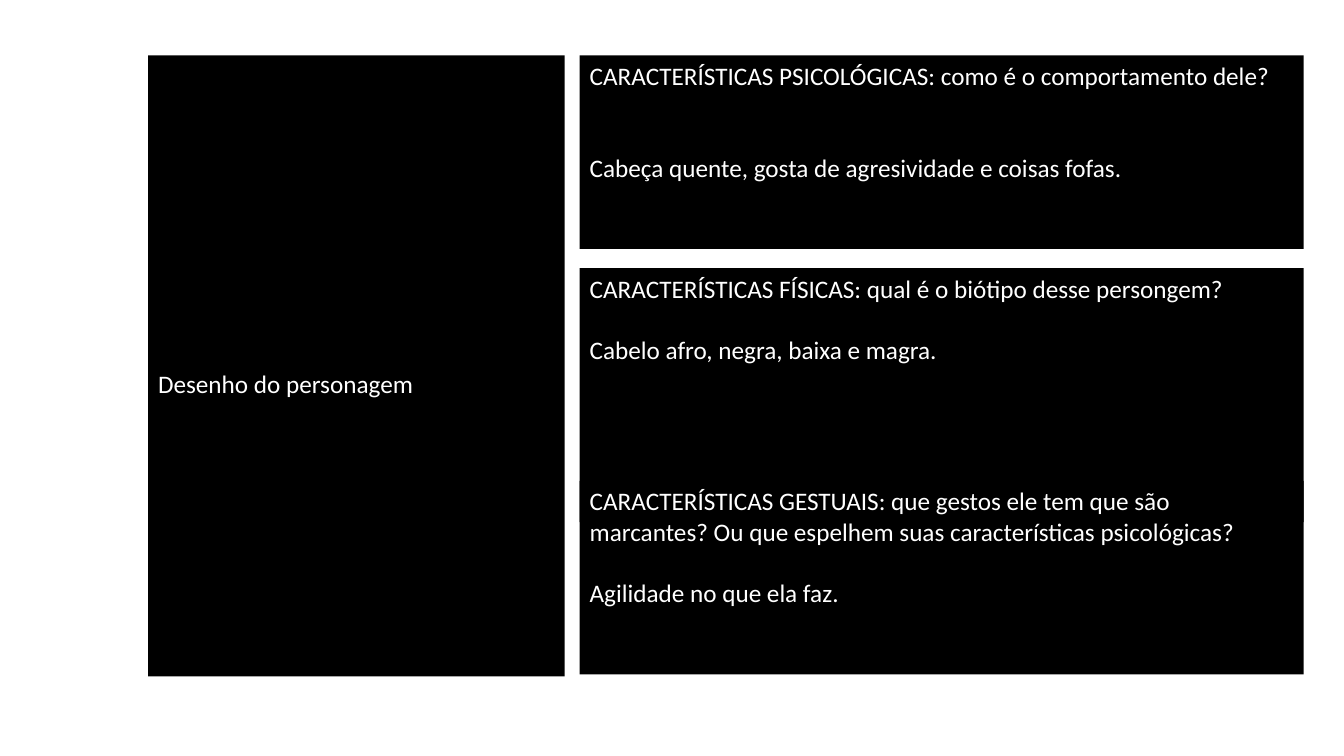
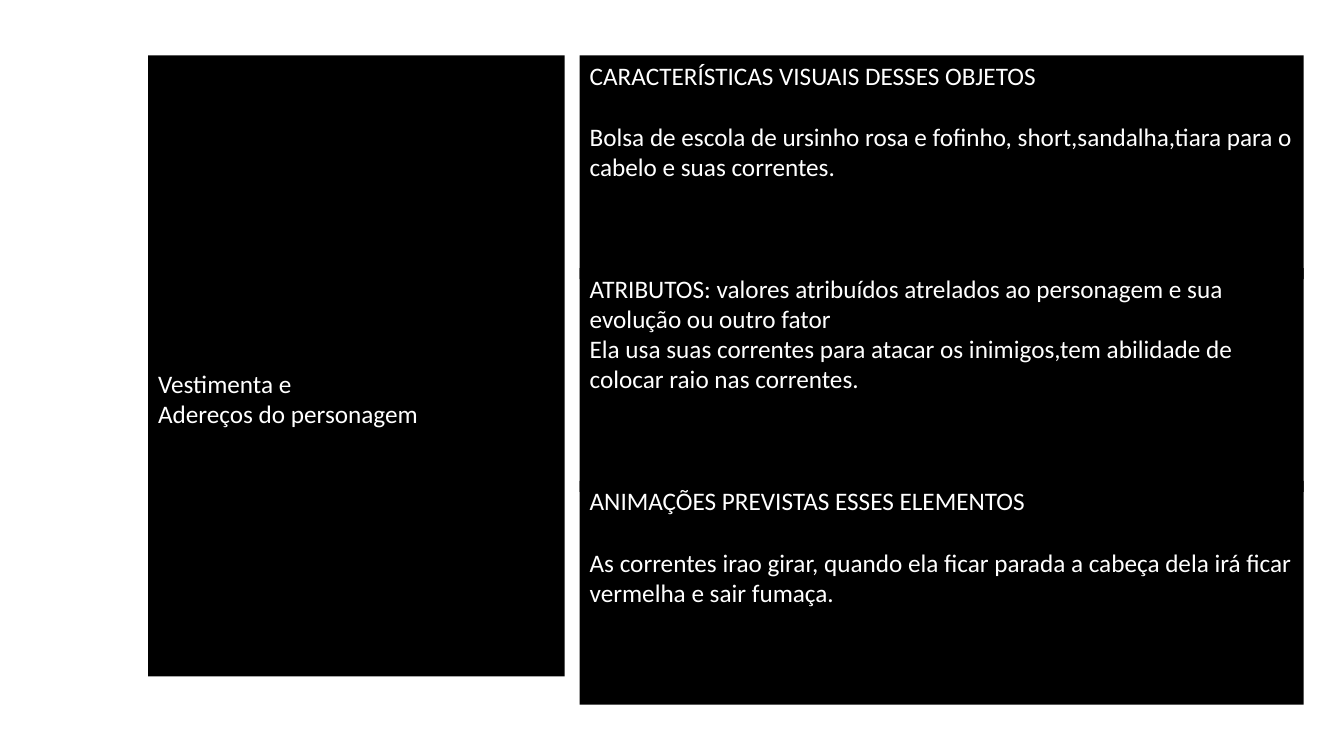
from pptx import Presentation
from pptx.dml.color import RGBColor
from pptx.enum.shapes import MSO_SHAPE
from pptx.enum.text import MSO_ANCHOR, PP_ALIGN
from pptx.util import Inches, Pt

BLACK = RGBColor(0x00, 0x00, 0x00)
WHITE = RGBColor(0xFF, 0xFF, 0xFF)
BLANK_LAYOUT = 6

# Grid in inches: two columns as (left, width), and equally spaced rows.
LABEL_COLUMN = (1.47, 4.13)
DETAIL_COLUMN = (5.75, 7.18)
TOP = 0.55
ROW_PITCH = 2.11
LABEL_HEIGHT = 6.16
LABEL_INSET = 3.1
INSET = 0.05


class CharacterSheet:
    """Holds the shared style, the presentation and the current slide."""

    font = "Calibri"
    size = Pt(18)
    line = 22  # height of one text line in points

    def __init__(self):
        """Start a widescreen presentation."""
        self.deck = Presentation()
        self.deck.slide_width = Inches(13.33)
        self.deck.slide_height = Inches(7.5)
        self.slide = None

    def new_slide(self):
        """Add an empty slide and make it current."""
        layout = self.deck.slide_layouts[BLANK_LAYOUT]
        self.slide = self.deck.slides.add_slide(layout)

    def panel(self, column, row, height, lines, gap=0, inset=INSET):
        """Add a black panel; gap counts the lines left free between paragraphs."""
        left, width = column
        box = self.slide.shapes.add_shape(
            MSO_SHAPE.RECTANGLE, Inches(left), Inches(TOP + row * ROW_PITCH),
            Inches(width), Inches(height))
        box.shadow.inherit = False
        box.fill.solid()
        box.fill.fore_color.rgb = BLACK
        box.line.fill.background()
        frame = box.text_frame
        frame.word_wrap = True
        frame.vertical_anchor = MSO_ANCHOR.TOP
        frame.margin_top = Inches(inset)
        for i, text in enumerate(lines):
            paragraph = frame.add_paragraph() if i else frame.paragraphs[0]
            paragraph.alignment = PP_ALIGN.LEFT
            paragraph.space_before = Pt(gap * self.line if i else 0)
            run = paragraph.add_run()
            run.text = text
            run.font.name = self.font
            run.font.size = self.size
            run.font.color.rgb = WHITE

    def sheet(self, label, details):
        """Build a slide with a tall label panel and stacked detail panels."""
        self.new_slide()
        self.panel(LABEL_COLUMN, 0, LABEL_HEIGHT, label, inset=LABEL_INSET)
        for row, (height, gap, lines) in enumerate(details):
            self.panel(DETAIL_COLUMN, row, height, lines, gap)


# Each detail panel: height, free lines between paragraphs, paragraphs.
CHARACTER = [
    (1.92, 2, ["CARACTERÍSTICAS PSICOLÓGICAS: como é o comportamento dele?",
               "Cabeça quente, gosta de agresividade e coisas fofas."]),
    (2.52, 1, ["CARACTERÍSTICAS FÍSICAS: qual é o biótipo desse persongem?",
               "Cabelo afro, negra, baixa e magra."]),
    (1.92, 1, ["CARACTERÍSTICAS GESTUAIS: que gestos ele tem que são marcantes? "
               "Ou que espelhem suas características psicológicas?",
               "Agilidade no que ela faz."]),
]
OUTFIT = [
    (2.22, 1, ["CARACTERÍSTICAS VISUAIS DESSES OBJETOS",
               "Bolsa de escola de ursinho rosa e fofinho, short,sandalha,tiara "
               "para o cabelo e suas correntes.\u00a0"]),
    (2.22, 0, ["ATRIBUTOS: valores atribuídos atrelados ao personagem e sua "
               "evolução ou outro fator",
               "Ela usa suas correntes para atacar os inimigos,tem abilidade de "
               "colocar raio nas correntes."]),
    (2.22, 1, ["ANIMAÇÕES PREVISTAS ESSES ELEMENTOS",
               "As correntes irao girar, quando ela ficar\u00a0parada a cabeça dela "
               "irá ficar vermelha e sair fumaça."]),
]


def main():
    """Build both slides and save them."""
    sheets = CharacterSheet()
    sheets.sheet(["Desenho do personagem"], CHARACTER)
    sheets.sheet(["Vestimenta e ", "Adereços do personagem"], OUTFIT)
    sheets.deck.save("out.pptx")


main()
